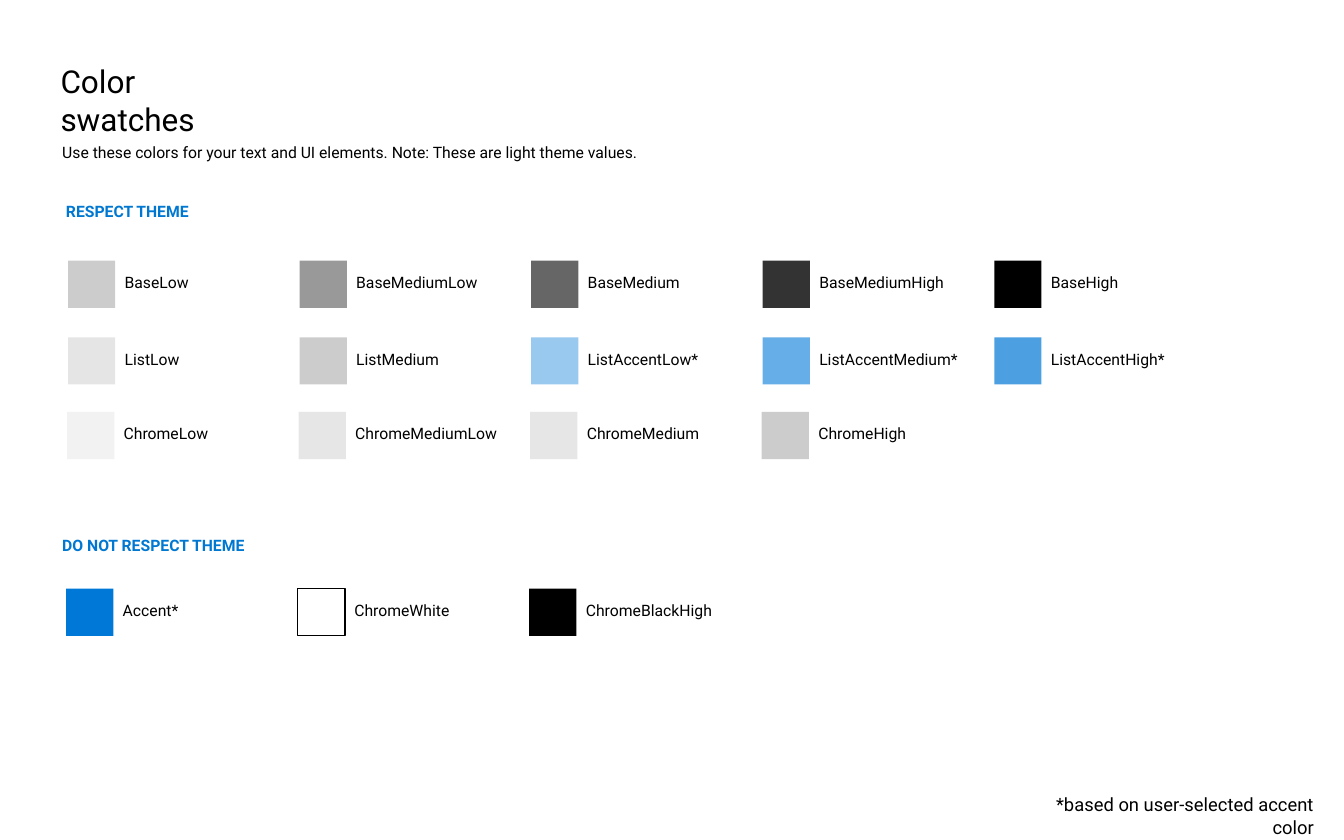
from dataclasses import dataclass

from lxml import etree
from pptx import Presentation
from pptx.dml.color import RGBColor
from pptx.enum.shapes import MSO_SHAPE
from pptx.enum.text import MSO_ANCHOR, MSO_AUTO_SIZE, PP_ALIGN
from pptx.oxml.ns import qn
from pptx.util import Inches, Pt

RECT = MSO_SHAPE.RECTANGLE
TOP = MSO_ANCHOR.TOP
NO_FIT = MSO_AUTO_SIZE.NONE
LEFT, RIGHT = PP_ALIGN.LEFT, PP_ALIGN.RIGHT

FONT = "Roboto"
COLORS = {
    "black": "000000",
    "white": "FFFFFF",
    "accent": "0078D7",
    "head": "0078D2",
    "low": "F2F2F2",
    "medium": "E6E6E6",
    "high": "CCCCCC",
}
SIDE = 0.5
STEP = 2.45


@dataclass
class Swatch:
    name: str
    color: str
    alpha: int = 100
    framed: bool = False


@dataclass
class Row:
    left: float
    top: float
    items: list[Swatch]


@dataclass
class Label:
    text: str
    left: float
    top: float
    width: float
    height: float = 0.3
    size: int = 12
    color: str = "black"
    bold: bool = False
    align: int = LEFT


ROWS = [
    Row(0.72, 2.76, [
        Swatch("BaseLow", "black", 20),
        Swatch("BaseMediumLow", "black", 40),
        Swatch("BaseMedium", "black", 60),
        Swatch("BaseMediumHigh", "black", 80),
        Swatch("BaseHigh", "black"),
    ]),
    Row(0.72, 3.57, [
        Swatch("ListLow", "black", 10),
        Swatch("ListMedium", "black", 20),
        Swatch("ListAccentLow*", "accent", 40),
        Swatch("ListAccentMedium*", "accent", 60),
        Swatch("ListAccentHigh*", "accent", 70),
    ]),
    Row(0.71, 4.36, [
        Swatch("ChromeLow", "low"),
        Swatch("ChromeMediumLow", "medium"),
        Swatch("ChromeMedium", "medium"),
        Swatch("ChromeHigh", "high"),
    ]),
    Row(0.7, 6.23, [
        Swatch("Accent*", "accent"),
        Swatch("ChromeWhite", "white", framed=True),
        Swatch("ChromeBlackHigh", "black"),
    ]),
]

TITLE = Label("Color swatches", 0.54, 0.61, 2.32, 0.5, size=24)
LABELS = [
    Label("Use these colors for your text and UI elements. "
          "Note: These are light theme values.", 0.56, 1.46, 12.11),
    Label("RESPECT THEME", 0.6, 2.09, 1.6, color="head", bold=True),
    Label("DO NOT RESPECT THEME", 0.56, 5.62, 2.4, color="head", bold=True),
    Label("*based on user-selected accent color", 10.65, 8.35, 3.35, 0.34,
          size=14, align=RIGHT),
]


def tint(key: str) -> RGBColor:
    return RGBColor.from_string(COLORS[key])


def write(shape, label: Label) -> None:
    """Place a text shape, then fill and format it."""
    shape.left, shape.top = Inches(label.left), Inches(label.top)
    shape.width, shape.height = Inches(label.width), Inches(label.height)
    frame = shape.text_frame
    frame.word_wrap = True
    frame.auto_size = NO_FIT
    frame.vertical_anchor = TOP
    para = frame.paragraphs[0]
    para.text = label.text
    para.alignment = label.align
    font = para.font
    font.name, font.size, font.bold = FONT, Pt(label.size), label.bold
    font.color.rgb = tint(label.color)


def add_label(slide, label: Label) -> None:
    write(slide.shapes.add_textbox(0, 0, 0, 0), label)


def add_swatch(slide, swatch: Swatch, left: float, top: float) -> None:
    box = slide.shapes.add_shape(
        RECT, Inches(left), Inches(top), Inches(SIDE), Inches(SIDE))
    box.shadow.inherit = False
    box.fill.solid()
    box.fill.fore_color.rgb = tint(swatch.color)
    if swatch.alpha < 100:
        color = box.fill._xPr.find(qn("a:solidFill"))[0]
        etree.SubElement(color, qn("a:alpha"), val=str(swatch.alpha * 1000))
    if swatch.framed:
        box.line.color.rgb = tint("black")
        box.line.width = Pt(1)
    else:
        box.line.fill.background()
    add_label(slide, Label(swatch.name, left + SIDE, top + 0.08, 1.95))


deck = Presentation()
deck.slide_width, deck.slide_height = Inches(14.22), Inches(8.89)
slide = deck.slides.add_slide(deck.slide_layouts.get_by_name("Title Only"))

# Title, headings and notes
write(slide.shapes.title, TITLE)
for label in LABELS:
    add_label(slide, label)

# Swatch rows
for row in ROWS:
    for col, swatch in enumerate(row.items):
        add_swatch(slide, swatch, row.left + col * STEP, row.top)

deck.save("out.pptx")
